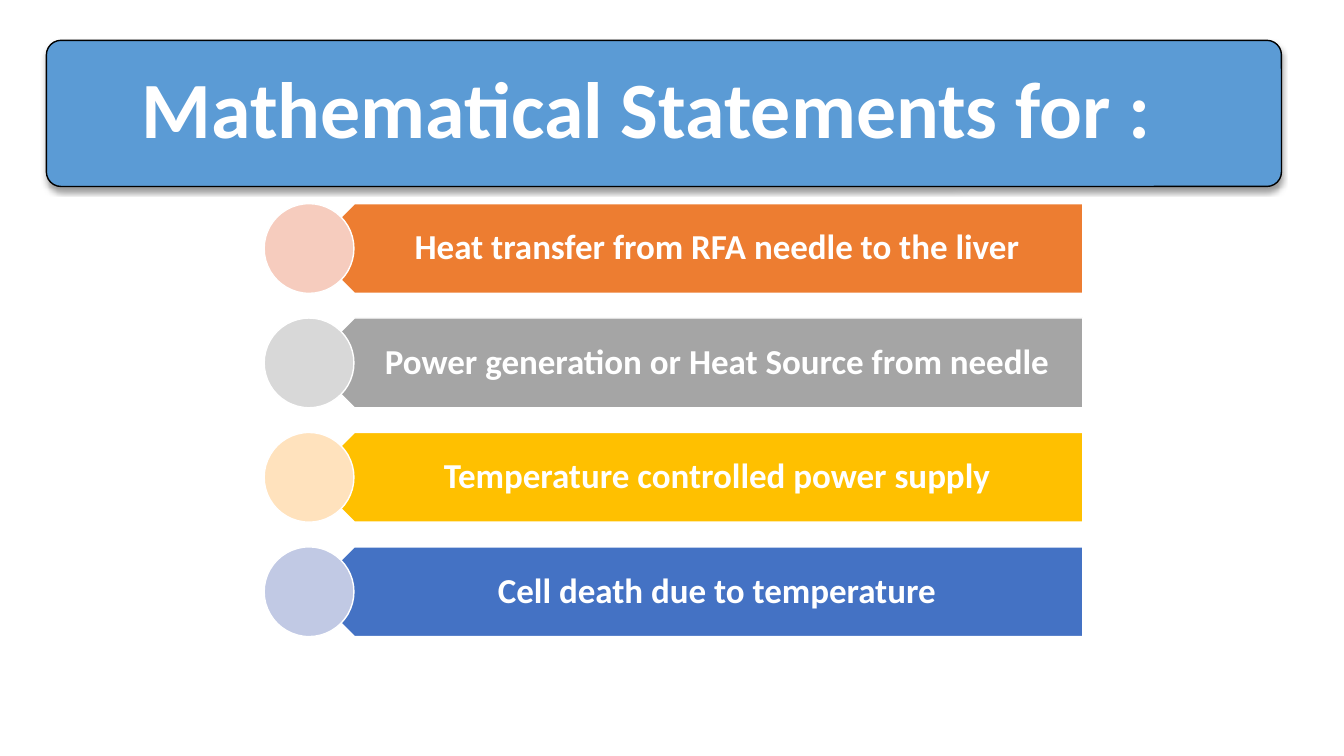
import pptx
import pptx.dml.color
import pptx.enum.shapes
import pptx.enum.text
import pptx.oxml
import pptx.oxml.ns
import pptx.util
from pptx.util import Inches

SHAPES = pptx.enum.shapes.MSO_SHAPE
COLORS = {
    "white": "FFFFFF", "black": "000000", "banner": "5B9BD5",
    "orange": "ED7D31", "orange_pale": "F6CCBE",
    "gray": "A5A5A5", "gray_pale": "D8D8D8",
    "gold": "FFC000", "gold_pale": "FFE2BD",
    "blue": "4472C4", "blue_pale": "C1C9E4",
}
STATEMENTS = [
    ("Heat transfer from RFA needle to the liver", "orange"),
    ("Power generation or Heat Source from needle", "gray"),
    ("Temperature controlled power supply", "gold"),
    ("Cell death due to temperature", "blue"),
]
FIRST_TOP, ROW_PITCH, ROW_HEIGHT = 2.02, 1.135, 0.89


def rgb(name):
    """Return the named colour."""
    return pptx.dml.color.RGBColor.from_string(COLORS[name])


def add_figure(slide, kind, box, fill, line="white"):
    """Add a filled, outlined preset shape without a shadow."""
    figure = slide.shapes.add_shape(kind, *map(Inches, box))
    figure.shadow.inherit = False
    figure.fill.solid()
    figure.fill.fore_color.rgb = rgb(fill)
    figure.line.color.rgb = rgb(line)
    figure.line.width = pptx.util.Pt(1)
    return figure


def add_text(slide, text, box, *, size, insets, color="white", font="Calibri", bold=True):
    """Add a centred text box with the given format."""
    label = slide.shapes.add_textbox(*map(Inches, box))
    frame = label.text_frame
    frame.word_wrap = True
    frame.vertical_anchor = pptx.enum.text.MSO_ANCHOR.MIDDLE
    frame.margin_left, frame.margin_top, frame.margin_right, frame.margin_bottom = map(Inches, insets)
    paragraph = frame.paragraphs[0]
    paragraph.alignment = pptx.enum.text.PP_ALIGN.CENTER
    paragraph.line_spacing = 0.9
    run = paragraph.add_run()
    run.text = text
    run.font.name = font
    run.font.size = pptx.util.Pt(size)
    run.font.bold = bold
    run.font.color.rgb = rgb(color)


def add_drop_shadow(figure, *, blur, distance, opacity):
    """Give a shape a soft black shadow straight below it."""
    effects = figure.element.spPr.find(pptx.oxml.ns.qn("a:effectLst"))
    effects.append(pptx.oxml.parse_xml(
        f'<a:outerShdw {pptx.oxml.ns.nsdecls("a")} blurRad="{pptx.util.Pt(blur)}" '
        f'dist="{pptx.util.Pt(distance)}" dir="5400000" rotWithShape="0">'
        f'<a:srgbClr val="{COLORS["black"]}"><a:alpha val="{opacity * 1000}"/></a:srgbClr>'
        '</a:outerShdw>'))


def add_banner(slide, title):
    """Add the rounded title banner."""
    banner = add_figure(slide, SHAPES.ROUNDED_RECTANGLE, (0.46, 0.4, 12.25, 1.45), "banner", "black")
    banner.adjustments[0] = 0.1
    add_drop_shadow(banner, blur=4, distance=3, opacity=40)
    add_text(slide, title, (0.51, 0.44, 12.17, 1.36), size=57, insets=(0.24, 0.24, 0.6, 0.24))


def add_statement(slide, top, statement, color):
    """Add one arrow bar with its text and pale circle."""
    bar = add_figure(slide, SHAPES.PENTAGON, (3.07, top, 7.67, ROW_HEIGHT), color)
    bar.rotation = 180
    add_text(slide, statement, (3.29, top, 7.44, ROW_HEIGHT), size=25, insets=(0.39, 0.1, 0.19, 0.1))
    add_figure(slide, SHAPES.OVAL, (2.62, top, ROW_HEIGHT, ROW_HEIGHT), f"{color}_pale")


def main():
    """Build and save the slide."""
    deck = pptx.Presentation()
    deck.slide_width, deck.slide_height = Inches(13.33), Inches(7.5)
    slide = deck.slides.add_slide(deck.slide_layouts[6])
    add_banner(slide, "Mathematical Statements for :")
    for row, (statement, color) in enumerate(STATEMENTS):
        add_statement(slide, FIRST_TOP + row * ROW_PITCH, statement, color)
    deck.save("out.pptx")


if __name__ == "__main__":
    main()
